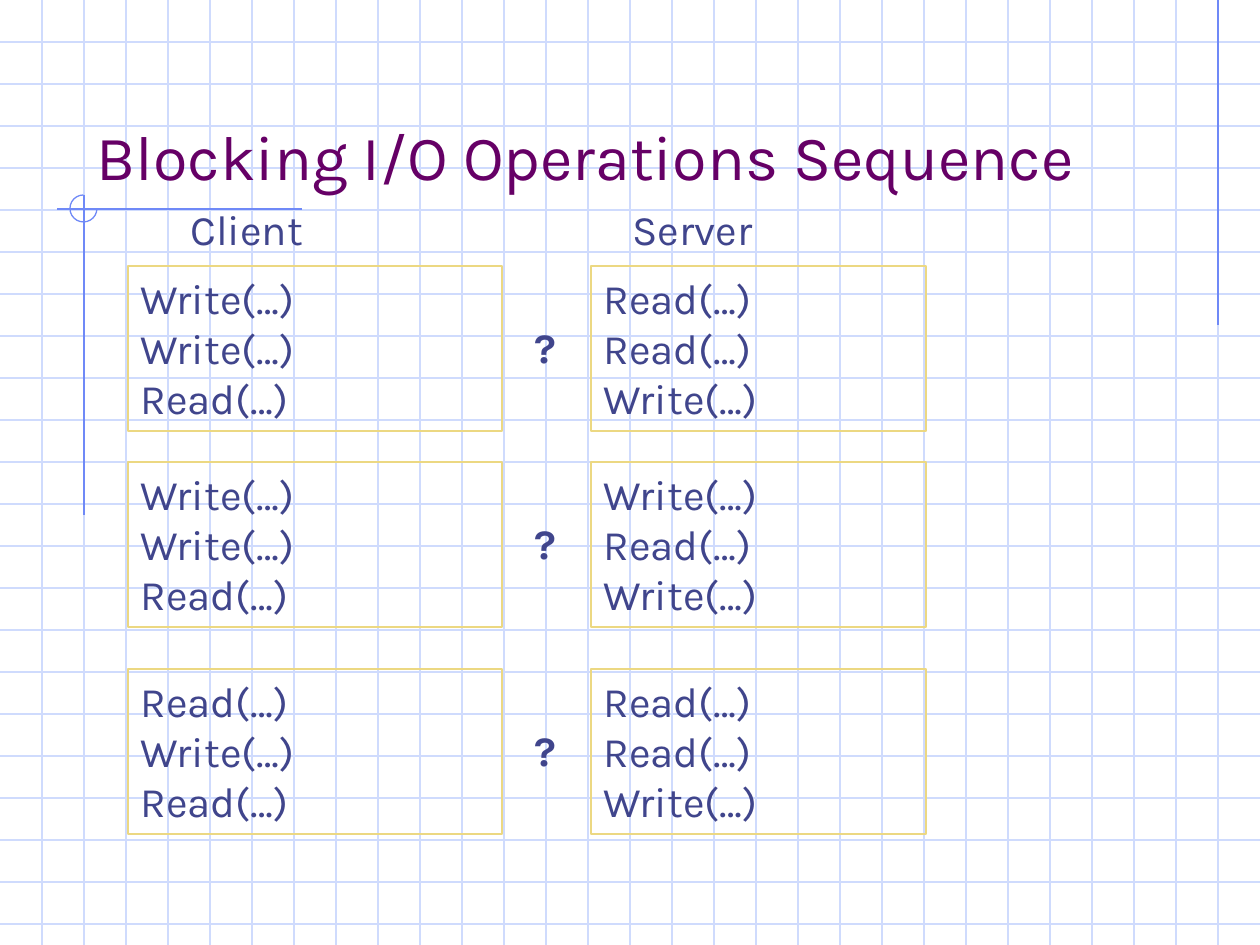
from dataclasses import dataclass

import lxml.etree
import pptx
import pptx.dml.color
import pptx.enum.shapes
import pptx.enum.text
import pptx.oxml.ns
import pptx.shapes.autoshape
import pptx.slide
import pptx.util

EMU_PER_PX = 914400 / 126
WIDTH, HEIGHT = 1260, 945
GRID_STEP = 42
FONT = "Karla"
GRID_BLUE = pptx.dml.color.RGBColor(0xCF, 0xDB, 0xFD)
ACCENT_BLUE = pptx.dml.color.RGBColor(0x6F, 0x89, 0xF7)
BOX_GOLD = pptx.dml.color.RGBColor(0xEC, 0xD8, 0x82)
TITLE_PURPLE = pptx.dml.color.RGBColor(0x66, 0x00, 0x66)
TEXT_INDIGO = pptx.dml.color.RGBColor(0x40, 0x45, 0x8C)

READ, WRITE = "Read(…)", "Write(…)"
BOX_HEIGHT = 165
QUESTION_LEFT, QUESTION_OFFSET, QUESTION_WIDTH = 522, 49, 59
LABEL_TOP, LABEL_WIDTH, LABEL_HEIGHT = 197, 158, 64


@dataclass(frozen=True)
class Side:
    label: str
    label_left: int
    box_left: int
    box_width: int


@dataclass(frozen=True)
class Sequence:
    top: int
    client: tuple[str, ...]
    server: tuple[str, ...]


@dataclass(frozen=True)
class Rule:
    x1: int
    y1: int
    x2: int
    y2: int
    color: pptx.dml.color.RGBColor


CLIENT = Side("Client", 178, 128, 374)
SERVER = Side("Server", 620, 591, 335)
SEQUENCES = [
    Sequence(266, (WRITE, WRITE, READ), (READ, READ, WRITE)),
    Sequence(462, (WRITE, WRITE, READ), (WRITE, READ, WRITE)),
    Sequence(669, (READ, WRITE, READ), (READ, READ, WRITE)),
]
GRID = [Rule(0, y, WIDTH, y, GRID_BLUE) for y in range(GRID_STEP, HEIGHT, GRID_STEP)]
GRID += [Rule(x, 0, x, HEIGHT, GRID_BLUE) for x in range(GRID_STEP, WIDTH, GRID_STEP)]
ACCENTS = [
    Rule(1218, 0, 1218, 325, ACCENT_BLUE),
    Rule(302, 209, 57, 209, ACCENT_BLUE),
    Rule(84, 195, 84, 515, ACCENT_BLUE),
]


def px(length: int) -> pptx.util.Emu:
    return pptx.util.Emu(round(length * EMU_PER_PX))


def draw_rule(slide: pptx.slide.Slide, rule: Rule) -> None:
    connector = slide.shapes.add_connector(
        pptx.enum.shapes.MSO_CONNECTOR.STRAIGHT,
        px(rule.x1), px(rule.y1), px(rule.x2), px(rule.y2))
    connector.line.color.rgb = rule.color
    connector.line.width = pptx.util.Pt(0.75)
    properties = connector.element.find(pptx.oxml.ns.qn("p:spPr"))
    lxml.etree.SubElement(properties, pptx.oxml.ns.qn("a:effectLst"))


def draw_outline(slide: pptx.slide.Slide, kind: pptx.enum.shapes.MSO_SHAPE,
                 left: int, top: int, width: int, height: int,
                 color: pptx.dml.color.RGBColor) -> pptx.shapes.autoshape.Shape:
    outline = slide.shapes.add_shape(kind, px(left), px(top), px(width), px(height))
    outline.shadow.inherit = False
    outline.fill.background()
    outline.line.color.rgb = color
    outline.line.width = pptx.util.Pt(0.75)
    return outline


def write(holder: pptx.shapes.autoshape.Shape, text: str, size: int = 24,
          color: pptx.dml.color.RGBColor = TEXT_INDIGO, bold: bool = False,
          anchor: pptx.enum.text.MSO_ANCHOR = pptx.enum.text.MSO_ANCHOR.TOP) -> None:
    frame = holder.text_frame
    frame.text = text
    frame.word_wrap = True
    frame.vertical_anchor = anchor
    for paragraph in frame.paragraphs:
        paragraph.alignment = pptx.enum.text.PP_ALIGN.LEFT
        for run in paragraph.runs:
            run.font.name = FONT
            run.font.size = pptx.util.Pt(size)
            run.font.bold = bold
            run.font.color.rgb = color


def add_text_area(slide: pptx.slide.Slide, left: int, top: int,
                  width: int, height: int) -> pptx.shapes.autoshape.Shape:
    return slide.shapes.add_textbox(px(left), px(top), px(width), px(height))


def draw_calls(slide: pptx.slide.Slide, side: Side, top: int,
               calls: tuple[str, ...]) -> None:
    box = draw_outline(slide, pptx.enum.shapes.MSO_SHAPE.RECTANGLE,
                       side.box_left, top, side.box_width, BOX_HEIGHT, BOX_GOLD)
    write(box, "\n".join(calls))


def draw_sequence(slide: pptx.slide.Slide, sequence: Sequence) -> None:
    draw_calls(slide, CLIENT, sequence.top, sequence.client)
    draw_calls(slide, SERVER, sequence.top, sequence.server)
    question = add_text_area(slide, QUESTION_LEFT, sequence.top + QUESTION_OFFSET,
                             QUESTION_WIDTH, LABEL_HEIGHT)
    write(question, "?", bold=True)


def main() -> None:
    presentation = pptx.Presentation()
    presentation.slide_width, presentation.slide_height = px(WIDTH), px(HEIGHT)
    slide = presentation.slides.add_slide(presentation.slide_layouts[6])

    for rule in GRID + ACCENTS:
        draw_rule(slide, rule)
    corner_arc = draw_outline(slide, pptx.enum.shapes.MSO_SHAPE.ARC,
                              70, 195, 27, 27, ACCENT_BLUE)
    corner_arc.adjustments[0] = 0
    corner_arc.adjustments[1] = 162

    title = add_text_area(slide, 84, 42, 1071, 157)
    write(title, "Blocking I/O Operations Sequence", 36, TITLE_PURPLE,
          anchor=pptx.enum.text.MSO_ANCHOR.BOTTOM)
    for sequence in SEQUENCES:
        draw_sequence(slide, sequence)
    for side in (CLIENT, SERVER):
        label = add_text_area(slide, side.label_left, LABEL_TOP, LABEL_WIDTH, LABEL_HEIGHT)
        write(label, side.label)

    presentation.save("out.pptx")


if __name__ == "__main__":
    main()
